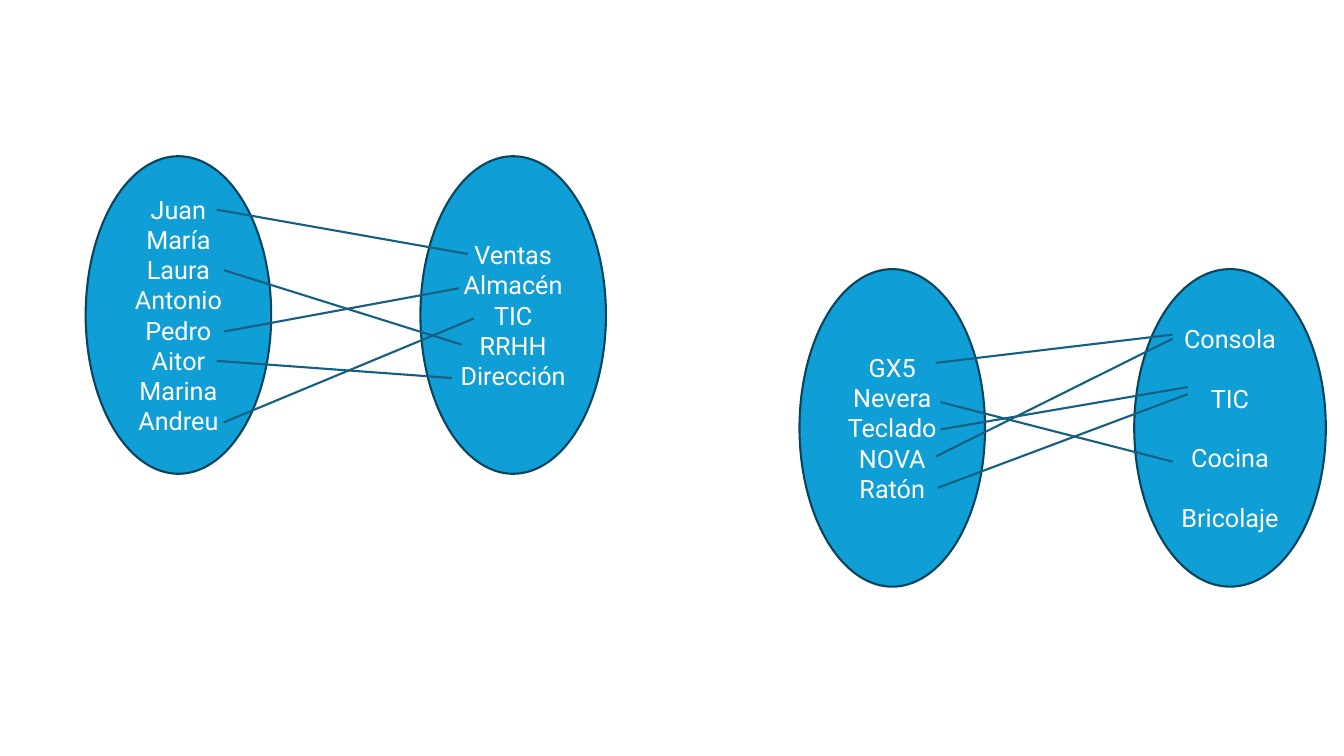
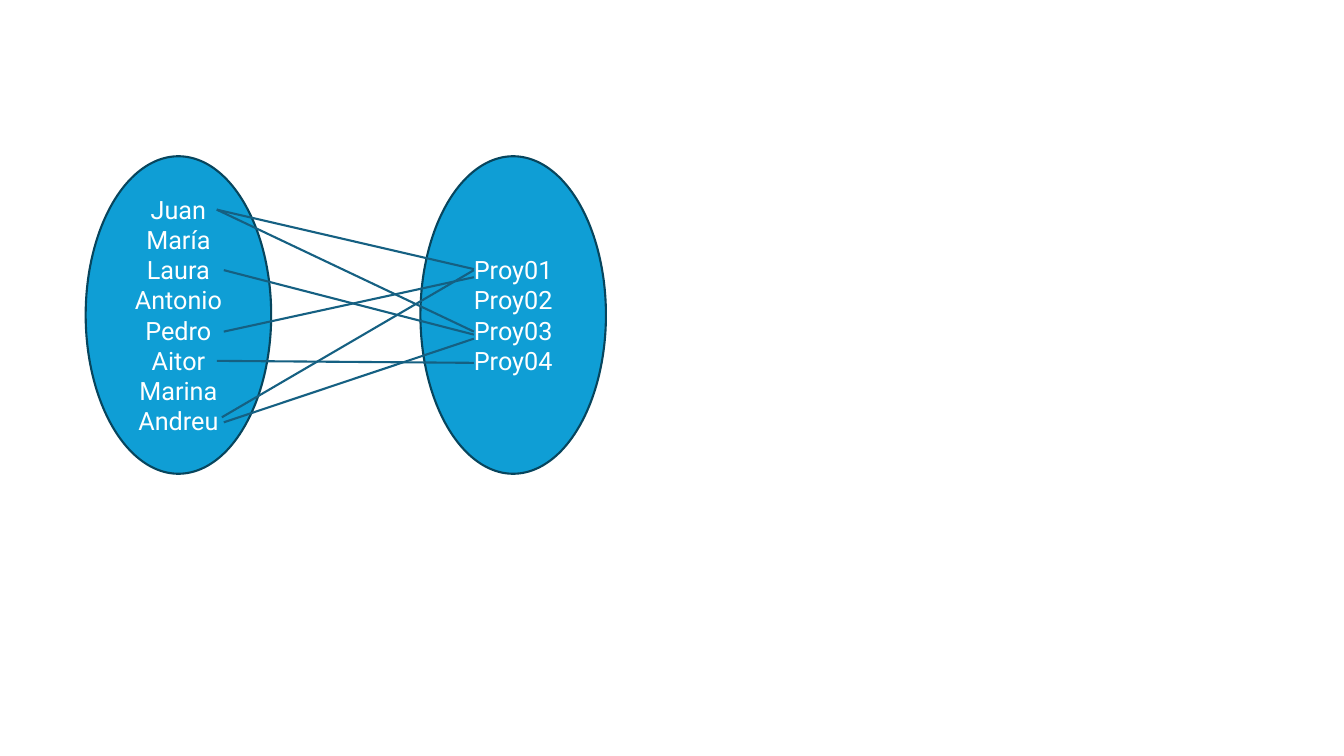
from lxml import etree
from pptx import Presentation
from pptx.dml.color import RGBColor
from pptx.enum.shapes import MSO_CONNECTOR, MSO_SHAPE
from pptx.enum.text import MSO_ANCHOR, PP_ALIGN
from pptx.oxml.ns import qn
from pptx.util import Inches, Pt

ELLIPSE = MSO_SHAPE.OVAL
STRAIGHT = MSO_CONNECTOR.STRAIGHT
MIDDLE = MSO_ANCHOR.MIDDLE
CENTER = PP_ALIGN.CENTER

COLORS = {"set": "0F9ED5", "outline": "07455D", "link": "156082", "text": "FFFFFF"}
FONT = "Roboto"
TEXT_SIZE = Pt(18)
LINE_WIDTH = Pt(1.5)
SET_WIDTH, SET_HEIGHT = 1.84, 3.15
SET_STEP = 3.32  # from the left edge of one set to that of the next

EMPLOYEES = ["Juan", "María", "Laura", "Antonio", "Pedro", "Aitor", "Marina", "Andreu"]
DEPARTMENTS = ["Ventas", "Almacén", "TIC", "RRHH", "Dirección"]
PROJECTS = ["Proy01", "Proy02", "Proy03", "Proy04"]
PRODUCTS = ["GX5", "Nevera", "Teclado", "NOVA", "Ratón"]
CATEGORIES = ["Consola", "TIC", "Cocina", "Bricolaje"]

# Link ends (x, y) beside the names, measured from the corner of the diagram
JUAN, LAURA, PEDRO = (1.3, 0.53), (1.37, 1.13), (1.37, 1.74)
AITOR, ANDREU = (1.3, 2.03), (1.37, 2.64)

DEPARTMENT_LINKS = [
    (JUAN, (3.79, 0.97)),
    (AITOR, (3.63, 2.2)),
    (ANDREU, (3.85, 1.61)),
    (PEDRO, (3.7, 1.31)),
    (LAURA, (3.73, 1.87)),
]
CATEGORY_LINKS = [
    ((1.35, 0.93), (3.7, 0.65)),
    ((1.37, 2.17), (3.85, 1.24)),
    ((1.4, 1.59), (3.85, 1.17)),
    ((1.4, 1.32), (3.7, 1.91)),
    ((1.35, 1.86), (3.7, 0.69)),
]
PROJECT_LINKS = [
    (JUAN, (3.85, 1.12)),
    (AITOR, (3.85, 2.05)),
    (ANDREU, (3.85, 1.81)),
    (PEDRO, (3.85, 1.2)),
    (LAURA, (3.85, 1.77)),
    (JUAN, (3.85, 1.74)),
    ((1.35, 2.59), (3.85, 1.13)),
]


def color(key):
    return RGBColor.from_string(COLORS[key])


def add_set(shapes, left, top, names, width=SET_WIDTH, gap=0):
    """Draw an ellipse with one centred name per paragraph."""
    ellipse = shapes.add_shape(
        ELLIPSE, Inches(left), Inches(top), Inches(width), Inches(SET_HEIGHT))
    ellipse.shadow.inherit = False
    ellipse.fill.solid()
    ellipse.fill.fore_color.rgb = color("set")
    ellipse.line.color.rgb = color("outline")
    ellipse.line.width = LINE_WIDTH

    frame = ellipse.text_frame
    frame.word_wrap = True
    frame.vertical_anchor = MIDDLE
    for index, name in enumerate(names):
        paragraph = frame.add_paragraph() if index else frame.paragraphs[0]
        paragraph.text = name
        paragraph.alignment = CENTER
        paragraph.space_before = Pt(gap if index else 0)
        paragraph.font.name = FONT
        paragraph.font.size = TEXT_SIZE
        paragraph.font.color.rgb = color("text")


def add_link(shapes, left, top, start, end):
    link = shapes.add_connector(
        STRAIGHT,
        Inches(left + start[0]), Inches(top + start[1]),
        Inches(left + end[0]), Inches(top + end[1]))
    link.line.color.rgb = color("link")
    link.line.width = LINE_WIDTH
    etree.SubElement(link._element.spPr, qn("a:effectLst"))


def add_mapping(slide, left, top, sources, targets, links,
                target_width=SET_WIDTH, target_gap=0):
    """Group two sets and the links between their members."""
    shapes = slide.shapes.add_group_shape().shapes
    add_set(shapes, left, top, sources)
    add_set(shapes, left + SET_STEP, top, targets, target_width, target_gap)
    for start, end in links:
        add_link(shapes, left, top, start, end)


def main():
    deck = Presentation()
    deck.slide_width, deck.slide_height = Inches(13.33), Inches(7.5)
    blank = deck.slide_layouts[6]

    # Employees by department, products by category
    slide = deck.slides.add_slide(blank)
    add_mapping(slide, 0.85, 1.55, EMPLOYEES, DEPARTMENTS, DEPARTMENT_LINKS)
    add_mapping(slide, 7.93, 2.67, PRODUCTS, CATEGORIES, CATEGORY_LINKS,
                target_width=1.9, target_gap=21)

    # Employees by project
    slide = deck.slides.add_slide(blank)
    add_mapping(slide, 0.85, 1.55, EMPLOYEES, PROJECTS, PROJECT_LINKS)

    deck.save("out.pptx")


if __name__ == "__main__":
    main()
